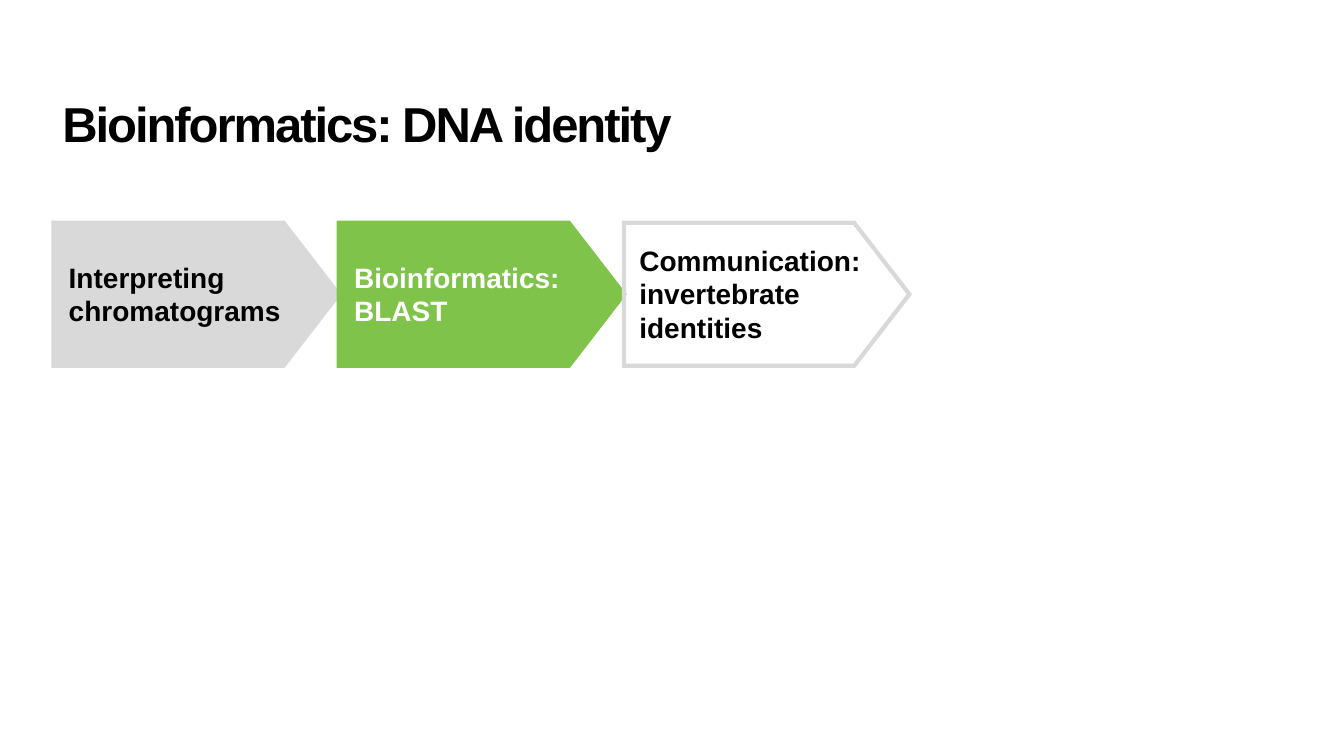
from dataclasses import dataclass
from typing import Optional

from lxml.etree import SubElement
from pptx import Presentation
from pptx.dml.color import RGBColor
from pptx.enum.shapes import MSO_SHAPE
from pptx.enum.text import MSO_ANCHOR, MSO_AUTO_SIZE
from pptx.oxml.ns import qn
from pptx.slide import Slide
from pptx.text.text import TextFrame
from pptx.util import Pt

COLORS = {"black": "000000", "white": "FFFFFF", "grey": "D9D9D9", "green": "80C34B"}
FONT_NAME = "Arial"

# Step row, in points
ARROW_LEFT, ARROW_TOP = 38.2, 159.1
ARROW_WIDTH, ARROW_HEIGHT = 203.8, 102.2
LABEL_INSET, LABEL_WIDTH = 3.8, 174.2


@dataclass
class Step:
    label: str
    label_height: float
    text_color: str
    line_color: str
    fill_color: Optional[str] = None


STEPS = [
    Step("Interpreting chromatograms", 55.7, "black", "grey", "grey"),
    Step("Bioinformatics: BLAST", 55.7, "white", "green", "green"),
    Step("Communication: invertebrate identities", 80, "black", "grey"),
]


def color(name: str) -> RGBColor:
    return RGBColor.from_string(COLORS[name])


def add_bold_text(frame: TextFrame, text: str, size: float, color_name: str):
    frame.word_wrap = True
    run = frame.paragraphs[0].add_run()
    run.text = text
    run.font.name = FONT_NAME
    run.font.size = Pt(size)
    run.font.bold = True
    run.font.color.rgb = color(color_name)
    return run


def add_title(slide: Slide, text: str) -> None:
    box = slide.shapes.add_textbox(Pt(37.4), Pt(74.9), Pt(884.9), Pt(74.9))
    frame = box.text_frame
    frame.margin_top = 0
    frame.paragraphs[0].line_spacing = 0.8
    run = add_bold_text(frame, text, 35, "black")
    run.font._element.set("spc", "-150")


def add_arrow(slide: Slide, step: Step, left: float) -> None:
    shape = slide.shapes.add_shape(
        MSO_SHAPE.PENTAGON, Pt(left), Pt(ARROW_TOP), Pt(ARROW_WIDTH), Pt(ARROW_HEIGHT)
    )
    shape.adjustments[0] = 0.386
    shape.shadow.inherit = False
    if step.fill_color:
        shape.fill.solid()
        shape.fill.fore_color.rgb = color(step.fill_color)
    else:
        shape.fill.background()
    shape.line.color.rgb = color(step.line_color)
    shape.line.width = Pt(3)
    # Sharp corners on the outline
    SubElement(shape.line._get_or_add_ln(), qn("a:miter"), lim="800000")


def add_label(slide: Slide, step: Step, arrow_left: float) -> None:
    top = ARROW_TOP + (ARROW_HEIGHT - step.label_height) / 2
    box = slide.shapes.add_textbox(
        Pt(arrow_left + LABEL_INSET), Pt(top), Pt(LABEL_WIDTH), Pt(step.label_height)
    )
    frame = box.text_frame
    frame.vertical_anchor = MSO_ANCHOR.TOP
    frame.auto_size = MSO_AUTO_SIZE.SHAPE_TO_FIT_TEXT
    add_bold_text(frame, step.label, 20, step.text_color)


def main() -> None:
    presentation = Presentation()
    presentation.slide_width, presentation.slide_height = Pt(960), Pt(540)
    slide = presentation.slides.add_slide(presentation.slide_layouts[6])

    add_title(slide, "Bioinformatics: DNA identity")

    # Arrows first, so that every label lies above them
    lefts = [ARROW_LEFT + index * ARROW_WIDTH for index in range(len(STEPS))]
    for step, left in zip(STEPS, lefts):
        add_arrow(slide, step, left)
    for step, left in zip(STEPS, lefts):
        add_label(slide, step, left)

    presentation.save("out.pptx")


if __name__ == "__main__":
    main()
